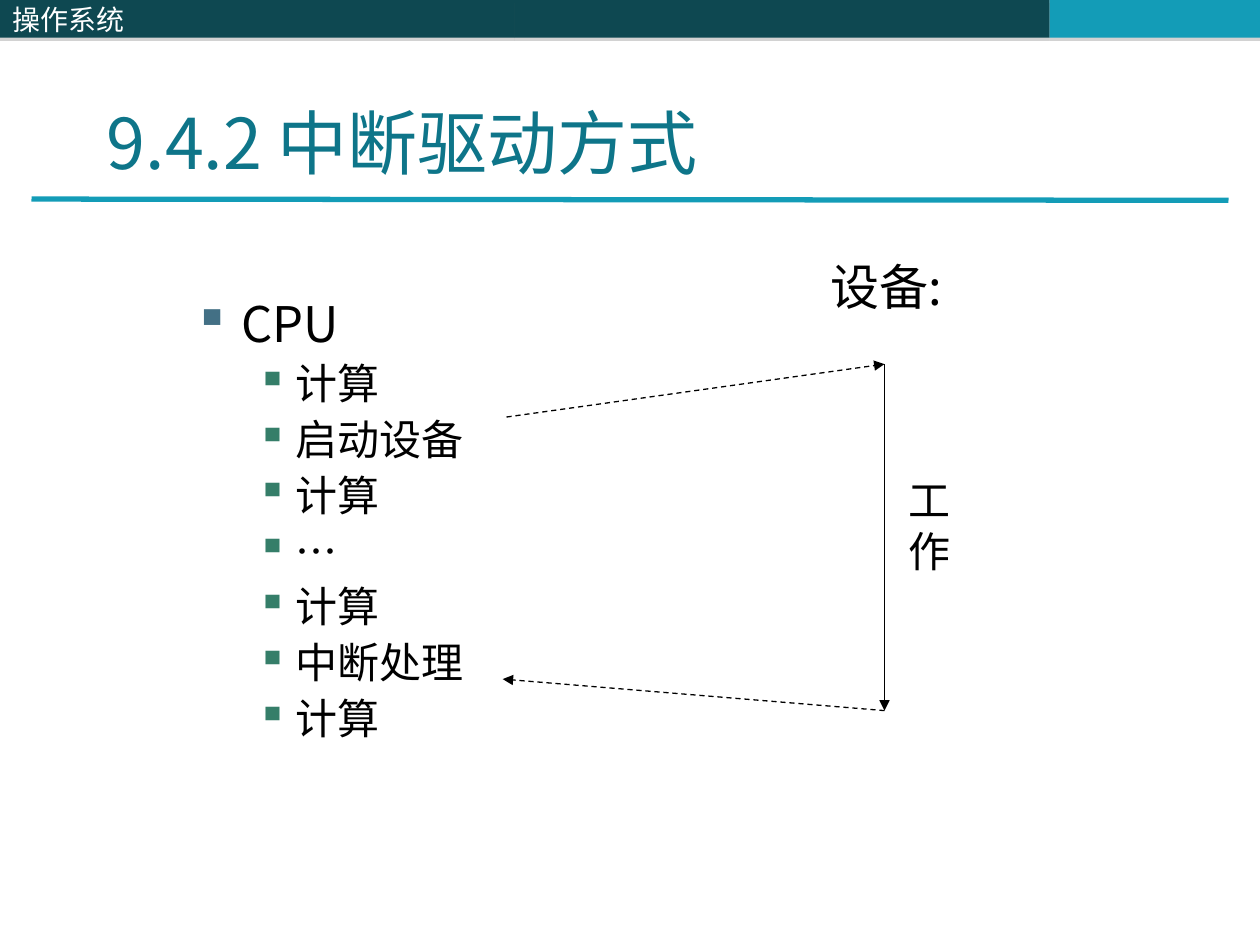
from lxml.etree import SubElement
from pptx import Presentation
from pptx.dml.color import RGBColor
from pptx.enum.dml import MSO_LINE
from pptx.enum.shapes import MSO_CONNECTOR, MSO_SHAPE
from pptx.enum.text import MSO_ANCHOR, PP_ALIGN
from pptx.oxml.ns import qn
from pptx.util import Inches, Pt

FONT = "Noto Sans CJK SC"
BLACK, WHITE = "000000", "FFFFFF"
DARK, TEAL = "0E4851", "139CB7"


def rgb(code):
    return RGBColor.from_string(code)


def write(para, text, size, color):
    """Add one run, with the font set for Latin and Chinese."""
    run = para.add_run()
    run.text = text
    run.font.size = Pt(size)
    run.font.name = FONT
    run.font.color.rgb = rgb(color)
    SubElement(run.font._element, qn("a:ea"), typeface=FONT)


prs = Presentation()
prs.slide_width, prs.slide_height = Inches(10), Inches(7.5)
slide = prs.slides.add_slide(prs.slide_layouts[6])
shapes = slide.shapes

# Header bars, each with a thin shadow below
for left, width, color, text in [
    (4.08, 4.25, DARK, ""),
    (8.33, 1.67, TEAL, ""),
    (0, 4.08, DARK, "操作系统"),
]:
    bar = shapes.add_shape(MSO_SHAPE.RECTANGLE, Inches(left), 0,
                           Inches(width), Inches(0.3))
    bar.fill.solid()
    bar.fill.fore_color.rgb = rgb(color)
    bar.line.fill.background()
    bar.shadow.inherit = False
    glow = SubElement(bar._element.spPr.find(qn("a:effectLst")),
                      qn("a:outerShdw"), dist=str(Pt(1.8)), dir="5400000")
    tint = SubElement(glow, qn("a:srgbClr"), val="808080")
    SubElement(tint, qn("a:alpha"), val="35000")
    if text:
        frame = bar.text_frame
        frame.vertical_anchor = MSO_ANCHOR.MIDDLE
        frame.paragraphs[0].alignment = PP_ALIGN.LEFT
        write(frame.paragraphs[0], text, 16, WHITE)

# Title and device labels
for left, top, width, height, text, size, color, anchor in [
    (0.75, 0.5, 9.18, 1.25, "9.4.2 中断驱动方式", 40, "0E7589", MSO_ANCHOR.MIDDLE),
    (6.49, 1.99, 1.35, 0.57, "设备:", 28, BLACK, MSO_ANCHOR.TOP),
    (7.11, 3.72, 0.81, 0.9, "工作", 24, BLACK, MSO_ANCHOR.TOP),
]:
    box = shapes.add_textbox(Inches(left), Inches(top), Inches(width), Inches(height))
    frame = box.text_frame
    frame.word_wrap = True
    frame.vertical_anchor = anchor
    write(frame.paragraphs[0], text, size, color)

# Steps of the CPU
steps = ["CPU", "计算", "启动设备", "计算", "…", "计算", "中断处理", "计算"]
box = shapes.add_textbox(Inches(1.44), Inches(2.33), Inches(3.96), Inches(4.5))
frame = box.text_frame
frame.word_wrap = True
for i, step in enumerate(steps):
    if i == 0:
        para = frame.paragraphs[0]
        size, color, left, hang = 28, "437085", 0.38, 0.38
    else:
        para = frame.add_paragraph()
        para.level = 1
        para.space_before = Pt(6)
        size, color, left, hang = 24, "357E69", 0.81, 0.31
    para.line_spacing = 0.9
    props = para._p.get_or_add_pPr()
    props.set("marL", str(Inches(left)))
    props.set("indent", str(-Inches(hang)))
    SubElement(SubElement(props, qn("a:buClr")), qn("a:srgbClr"), val=color)
    SubElement(props, qn("a:buChar"), char="▪")
    write(para, step, size, BLACK)

# Title rule, device time line and the two signals
for x1, y1, x2, y2, color, weight, dash, arrow in [
    (0.25, 1.58, 9.75, 1.59, TEAL, 3, False, False),
    (7.02, 2.89, 7.02, 5.64, BLACK, 0.75, False, True),
    (4.02, 3.31, 7.02, 2.89, BLACK, 0.75, True, True),
    (7.02, 5.64, 3.99, 5.39, BLACK, 0.75, True, True),
]:
    link = shapes.add_connector(MSO_CONNECTOR.STRAIGHT, Inches(x1), Inches(y1),
                                Inches(x2), Inches(y2))
    link.line.color.rgb = rgb(color)
    link.line.width = Pt(weight)
    if dash:
        link.line.dash_style = MSO_LINE.DASH
    if arrow:
        SubElement(link.line._get_or_add_ln(), qn("a:tailEnd"), type="triangle")
    SubElement(link._element.spPr, qn("a:effectLst"))

prs.save("out.pptx")
